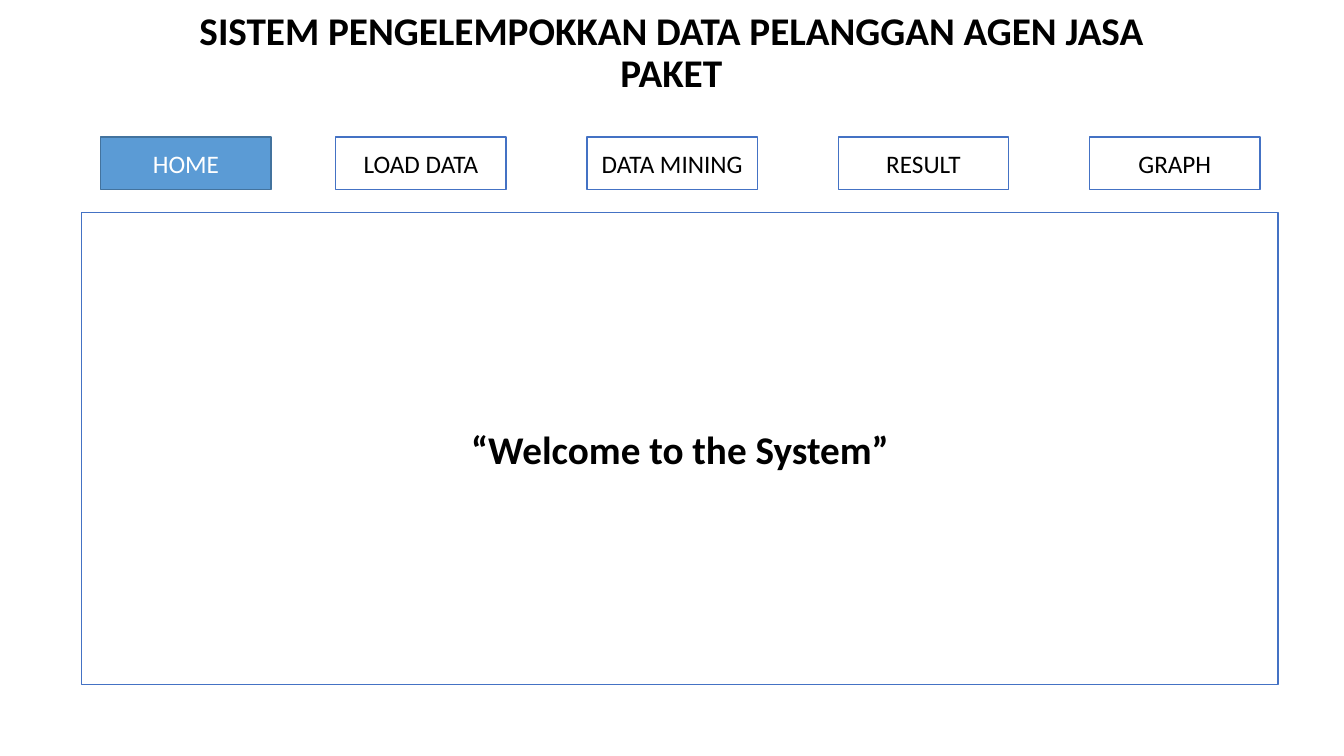
from dataclasses import dataclass

from pptx import Presentation
from pptx.dml.color import RGBColor as Color
from pptx.enum.shapes import MSO_SHAPE as Preset
from pptx.enum.text import MSO_ANCHOR as Anchor, PP_ALIGN as Align
from pptx.util import Pt


@dataclass(frozen=True)
class Theme:
    font: str = "Calibri"
    heading_size: int = 28
    button_size: int = 18
    line_width: int = 1
    black: str = "000000"
    white: str = "FFFFFF"
    outline: str = "4472C4"
    active_fill: str = "5B9BD5"
    active_outline: str = "43739E"


THEME = Theme()
HEADING = {"size": Pt(THEME.heading_size), "bold": True}
BUTTON = {"size": Pt(THEME.button_size), "bold": False}

TITLE_BOX = (100.8, 11.5, 757.4, 60.5)
PANEL_BOX = (58.3, 151.9, 854.6, 337)
BUTTON_TOP, BUTTON_WIDTH, BUTTON_HEIGHT = 97.9, 121.7, 37.4
HOME_LEFT = 72
MENU_LEFT, MENU_STEP = 239.8, 179.5
MENU_LABELS = ("LOAD DATA", "DATA MINING", "RESULT", "GRAPH")


def set_attributes(target, values):
    for name, value in values.items():
        setattr(target, name, value)


def write_text(shape, text, font_format, color=THEME.black, anchor=Anchor.MIDDLE, spacing=1.0):
    set_attributes(shape.text_frame, {"word_wrap": True, "vertical_anchor": anchor})
    paragraph = shape.text_frame.paragraphs[0]
    set_attributes(paragraph, {"alignment": Align.CENTER, "line_spacing": spacing})
    run = paragraph.add_run()
    run.text = text
    set_attributes(run.font, {"name": THEME.font, **font_format})
    run.font.color.rgb = Color.from_string(color)


def add_title(slide, text):
    shape = slide.shapes.add_textbox(*map(Pt, TITLE_BOX))
    write_text(shape, text, HEADING, anchor=Anchor.BOTTOM, spacing=0.9)


def add_box(slide, box, text, font_format, fill=THEME.white, outline=THEME.outline, color=THEME.black):
    shape = slide.shapes.add_shape(Preset.RECTANGLE, *map(Pt, box))
    shape.shadow.inherit = False
    shape.fill.solid()
    shape.fill.fore_color.rgb = Color.from_string(fill)
    shape.line.color.rgb = Color.from_string(outline)
    shape.line.width = Pt(THEME.line_width)
    write_text(shape, text, font_format, color)


def add_button(slide, left, label, **colors):
    add_box(slide, (left, BUTTON_TOP, BUTTON_WIDTH, BUTTON_HEIGHT), label, BUTTON, **colors)


def main():
    presentation = Presentation()
    set_attributes(presentation, {"slide_width": Pt(960), "slide_height": Pt(540)})
    slide = presentation.slides.add_slide(presentation.slide_layouts[6])

    add_title(slide, "SISTEM PENGELEMPOKKAN DATA PELANGGAN AGEN JASA PAKET")
    add_button(slide, HOME_LEFT, "HOME", fill=THEME.active_fill,
               outline=THEME.active_outline, color=THEME.white)
    for index, label in enumerate(MENU_LABELS):
        add_button(slide, MENU_LEFT + index * MENU_STEP, label)
    add_box(slide, PANEL_BOX, "“Welcome to the System”", HEADING)

    presentation.save("out.pptx")


main()
